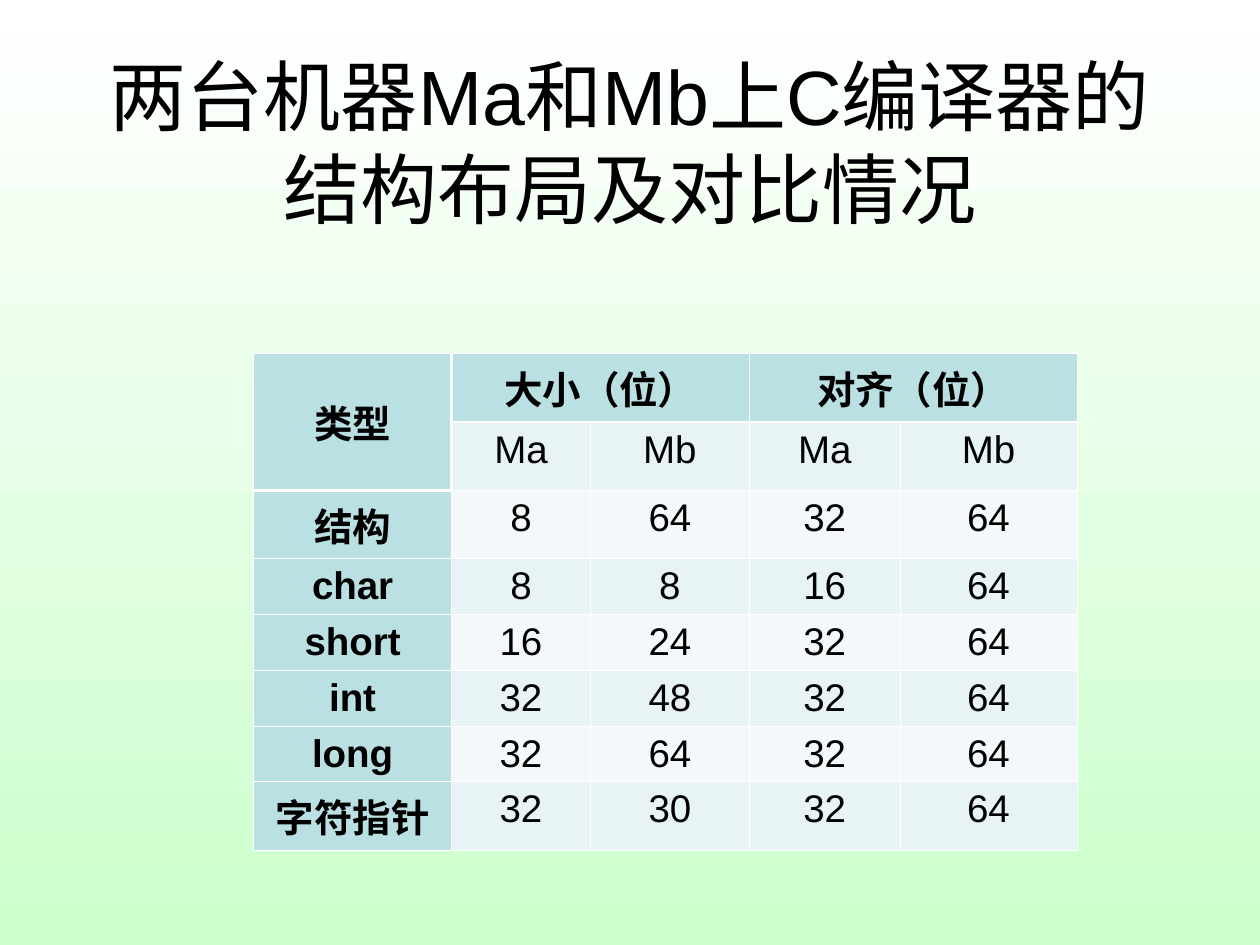
from lxml.etree import SubElement
from pptx import Presentation
from pptx.dml.color import RGBColor
from pptx.enum.text import MSO_ANCHOR, MSO_AUTO_SIZE, PP_ALIGN
from pptx.oxml.ns import qn
from pptx.util import Pt

BLACK = RGBColor(0x00, 0x00, 0x00)
WHITE = RGBColor(0xFF, 0xFF, 0xFF)
PALE_GREEN = RGBColor(0xCC, 0xFF, 0xCC)
HEADER_TEAL = RGBColor(0xBB, 0xE0, 0xE3)
BANDS = (RGBColor(0xF3, 0xF9, 0xFA), RGBColor(0xE7, 0xF3, 0xF4))

TYPE_ROWS = [
    ["类型", "大小（位）", "", "对齐（位）", ""],
    ["", "Ma", "Mb", "Ma", "Mb"],
    ["结构", "8", "64", "32", "64"],
    ["char", "8", "8", "16", "64"],
    ["short", "16", "24", "32", "64"],
    ["int", "32", "48", "32", "64"],
    ["long", "32", "64", "32", "64"],
    ["字符指针", "32", "30", "32", "64"],
]
COLUMN_WIDTHS = [113, 79.4, 90.8, 86.2, 101]
ROW_HEIGHT = 26.4
SUBHEADER_HEIGHT = 39
THIN, THICK = 0.45, 1.47


class SlideBuilder:
    font_name = "Arial"
    title_size = 44
    table_size = 22

    def __init__(self, slide):
        self.slide = slide

    def background(self, top_color, bottom_color):
        fill = self.slide.background.fill
        fill.gradient()
        fill.gradient_angle = 270
        for stop, color, position in zip(fill.gradient_stops, (top_color, bottom_color), (0, 1)):
            stop.color.rgb = color
            stop.position = position

    def centered_text(self, frame, text, size, bold=False):
        paragraph = frame.paragraphs[0]
        paragraph.alignment = PP_ALIGN.CENTER
        run = paragraph.add_run()
        run.text = text
        run.font.name = self.font_name
        run.font.size = Pt(size)
        run.font.bold = bold
        run.font.color.rgb = BLACK

    def title(self, text, left, top, width, height):
        heading = self.slide.shapes.title
        heading.left, heading.top = Pt(left), Pt(top)
        heading.width, heading.height = Pt(width), Pt(height)
        frame = heading.text_frame
        frame.auto_size = MSO_AUTO_SIZE.NONE
        frame.word_wrap = True
        frame.vertical_anchor = MSO_ANCHOR.MIDDLE
        self.centered_text(frame, text, self.title_size)

    def borders(self, cell, widths):
        properties = cell._tc.get_or_add_tcPr()
        for side, width in zip("LRTB", widths):
            line = SubElement(properties, qn(f"a:ln{side}"), w=str(int(Pt(width))))
            SubElement(SubElement(line, qn("a:solidFill")), qn("a:srgbClr"), val=str(WHITE))

    def cell(self, cell, text, row, column):
        is_header = row == 0 or column == 0
        # Thick lines set the two header rows apart
        thick_top = row == (2 if column == 0 else 1)
        thick_bottom = row < 2 if column == 0 else row == 0
        self.borders(cell, (
            THICK if row < 2 and column == 1 else THIN,
            THICK if row < 2 and column == 0 else THIN,
            THICK if thick_top else THIN,
            THICK if thick_bottom else THIN,
        ))
        cell.fill.solid()
        cell.fill.fore_color.rgb = HEADER_TEAL if is_header else BANDS[row % 2]
        cell.margin_left = cell.margin_right = Pt(5.76)
        cell.margin_top = cell.margin_bottom = Pt(3.6)
        if text:
            self.centered_text(cell.text_frame, text, self.table_size, is_header)

    def table(self, rows, left, top):
        heights = [SUBHEADER_HEIGHT if i == 1 else ROW_HEIGHT for i in range(len(rows))]
        table = self.slide.shapes.add_table(
            len(rows), len(COLUMN_WIDTHS), Pt(left), Pt(top),
            Pt(sum(COLUMN_WIDTHS)), Pt(sum(heights))).table
        table.first_row = table.horz_banding = False
        for column, width in zip(table.columns, COLUMN_WIDTHS):
            column.width = Pt(width)
        for table_row, height in zip(table.rows, heights):
            table_row.height = Pt(height)
        for r, row in enumerate(rows):
            for c, text in enumerate(row):
                self.cell(table.cell(r, c), text, r, c)
        return table


def main():
    presentation = Presentation()
    presentation.slide_width, presentation.slide_height = Pt(720), Pt(540)
    builder = SlideBuilder(presentation.slides.add_slide(presentation.slide_layouts[5]))

    # Background and title
    builder.background(WHITE, PALE_GREEN)
    builder.title("两台机器Ma和Mb上C编译器的结构布局及对比情况", 36, 21.6, 648, 118)

    # Type sizes and alignments, with merged headings
    layouts = builder.table(TYPE_ROWS, 145, 202.2)
    layouts.cell(0, 0).merge(layouts.cell(1, 0))
    layouts.cell(0, 0).vertical_anchor = MSO_ANCHOR.MIDDLE
    for first in (1, 3):
        layouts.cell(0, first).merge(layouts.cell(0, first + 1))

    presentation.save("out.pptx")


if __name__ == "__main__":
    main()
